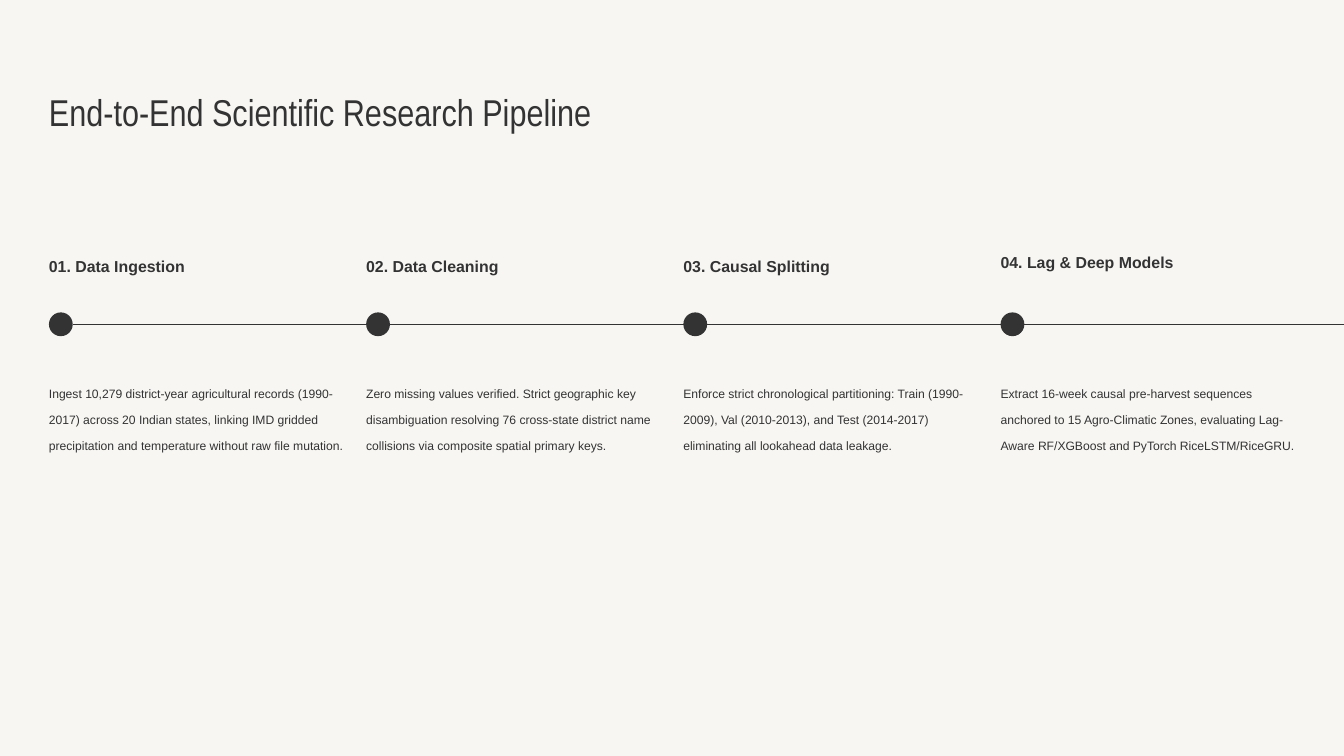
import pptx
import pptx.dml.color
import pptx.enum.shapes
import pptx.enum.text
import pptx.oxml
import pptx.util
from pptx.util import Cm

INK = pptx.dml.color.RGBColor(0x33, 0x33, 0x33)
PAPER = pptx.dml.color.RGBColor(0xF7, 0xF6, 0xF3)

SLIDE_WIDTH, SLIDE_HEIGHT = Cm(50.8), Cm(28.58)
MARGIN = Cm(1.85)
STEP_PITCH = Cm(11.99)
STEP_WIDTH = Cm(11.13)
DOT_SIZE = Cm(0.9)
DOT_OFFSET = Cm(2.46)

# Heading, description, lift of the heading above the common row
STEPS = [
    ("01. Data Ingestion",
     "Ingest 10,279 district-year agricultural records (1990-2017) across 20 Indian states, "
     "linking IMD gridded precipitation and temperature without raw file mutation.", Cm(0)),
    ("02. Data Cleaning",
     "Zero missing values verified. Strict geographic key disambiguation resolving 76 "
     "cross-state district name collisions via composite spatial primary keys.", Cm(0)),
    ("03. Causal Splitting",
     "Enforce strict chronological partitioning: Train (1990-2009), Val (2010-2013), and "
     "Test (2014-2017) eliminating all lookahead data leakage.", Cm(0)),
    ("04. Lag & Deep Models",
     "Extract 16-week causal pre-harvest sequences anchored to 15 Agro-Climatic Zones, "
     "evaluating Lag-Aware RF/XGBoost and PyTorch RiceLSTM/RiceGRU.", Cm(0.12)),
]


def write_text(shape, text, size, line_spacing, font_name="Arial", bold=False):
    frame = shape.text_frame
    frame.word_wrap = True
    frame.auto_size = pptx.enum.text.MSO_AUTO_SIZE.NONE
    frame.vertical_anchor = pptx.enum.text.MSO_ANCHOR.TOP
    frame.margin_left = frame.margin_top = frame.margin_right = frame.margin_bottom = 0
    paragraph = frame.paragraphs[0]
    paragraph.alignment = pptx.enum.text.PP_ALIGN.LEFT
    paragraph.line_spacing = pptx.util.Pt(line_spacing)
    paragraph.space_before = pptx.util.Pt(0)
    run = paragraph.add_run()
    run.text = text
    run.font.name = font_name
    run.font.size = pptx.util.Pt(size)
    run.font.bold = bold
    run.font.color.rgb = INK


def place_title(slide, left, top, width, height):
    title = slide.shapes.title
    title.left, title.top, title.width, title.height = left, top, width, height
    write_text(title, "End-to-End Scientific Research Pipeline", 40, 80, "Arial Narrow")


def add_axis(slide, left, top, right):
    axis = slide.shapes.add_connector(
        pptx.enum.shapes.MSO_CONNECTOR.STRAIGHT, left, top, right, top)
    axis.line.color.rgb = INK
    axis.line.width = pptx.util.Pt(1.5)
    properties = axis.element.spPr
    properties.append(properties.makeelement(pptx.oxml.ns.qn("a:effectLst"), {}))


def add_step(slide, left, top, width, heading, description, lift):
    # Heading above the axis
    heading_box = slide.shapes.add_textbox(left, top - lift, width, Cm(1.09))
    write_text(heading_box, heading, 17, 30, bold=True)
    # Dot on the axis
    dot = slide.shapes.add_shape(
        pptx.enum.shapes.MSO_SHAPE.OVAL, left, top + DOT_OFFSET, DOT_SIZE, DOT_SIZE)
    dot.shadow.inherit = False
    dot.fill.solid()
    dot.fill.fore_color.rgb = INK
    dot.line.fill.background()
    # Description below the axis
    description_box = slide.shapes.add_textbox(left, top + Cm(4.82), width, Cm(5.84))
    write_text(description_box, description, 13, 28)


def add_timeline(slide, left, top, right):
    add_axis(slide, left + DOT_SIZE, top + DOT_OFFSET + DOT_SIZE // 2, right)
    for index, (heading, description, lift) in enumerate(STEPS):
        add_step(slide, left + index * STEP_PITCH, top, STEP_WIDTH,
                 heading, description, lift)


def main():
    presentation = pptx.Presentation()
    presentation.slide_width, presentation.slide_height = SLIDE_WIDTH, SLIDE_HEIGHT
    slide = presentation.slides.add_slide(presentation.slide_layouts.get_by_name("Title Only"))
    slide.background.fill.solid()
    slide.background.fill.fore_color.rgb = PAPER

    place_title(slide, MARGIN, Cm(2.26), SLIDE_WIDTH - 2 * MARGIN, Cm(2.97))
    add_timeline(slide, MARGIN, Cm(9.35), SLIDE_WIDTH)
    presentation.save("out.pptx")


if __name__ == "__main__":
    main()
